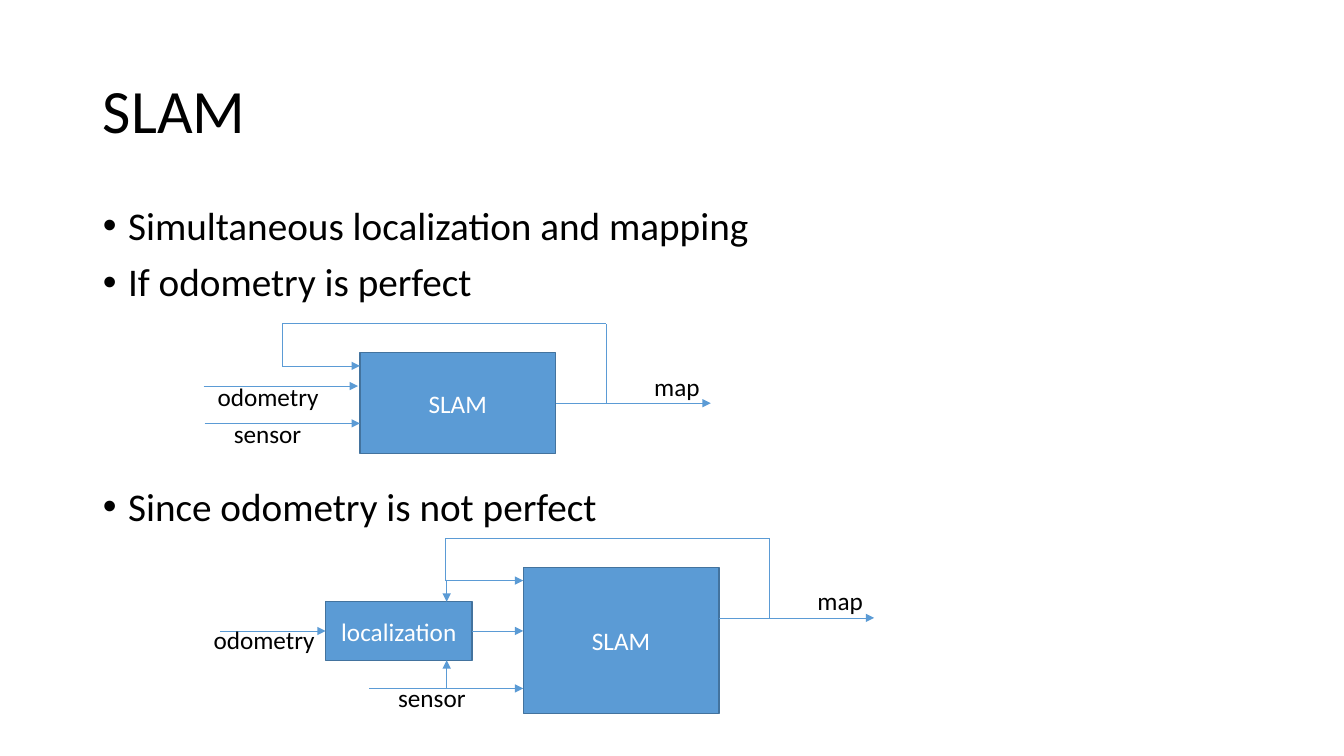
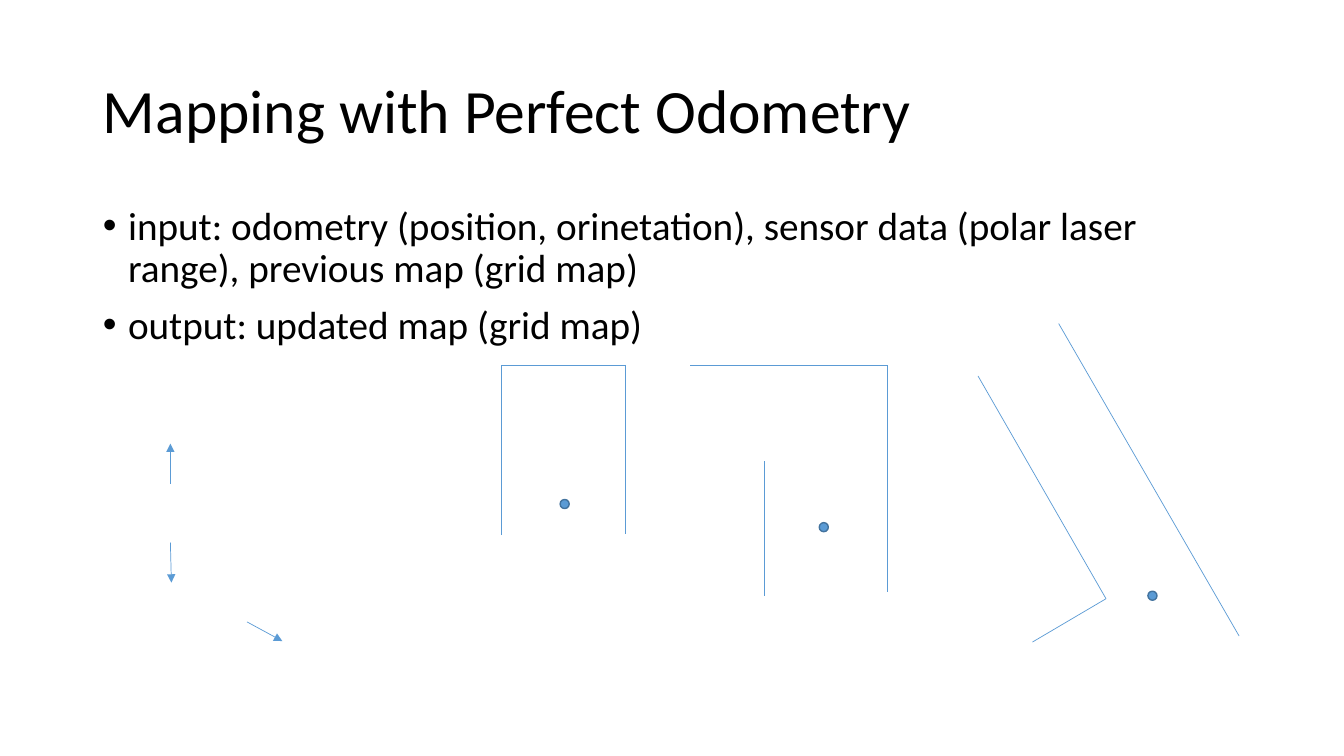
import pptx
import pptx.util
import pptx.dml.color
import pptx.enum.shapes
import pptx.enum.text
import pptx.oxml.ns
import pptx.oxml.xmlchemy
from pptx.util import Inches

# Shared style
FONT = "Calibri"
BLACK = pptx.dml.color.RGBColor(0x00, 0x00, 0x00)
WHITE = pptx.dml.color.RGBColor(0xFF, 0xFF, 0xFF)
BLUE = pptx.dml.color.RGBColor(0x5B, 0x9B, 0xD5)
DARK_BLUE = pptx.dml.color.RGBColor(0x43, 0x73, 0x9E)
TITLE_SIZE, BODY_SIZE, LABEL_SIZE = 44, 28, 18
LINE_SPACING = 0.9
BULLET_GAP = 10
DIAGRAM_GAP = 130

SHAPES = pptx.enum.shapes.MSO_SHAPE
ALIGN = pptx.enum.text.PP_ALIGN
ANCHOR = pptx.enum.text.MSO_ANCHOR
AUTO_SIZE = pptx.enum.text.MSO_AUTO_SIZE


def add_run(paragraph, text, size, color):
    run = paragraph.add_run()
    run.text = text
    run.font.name = FONT
    run.font.size = pptx.util.Pt(size)
    run.font.color.rgb = color


def place(shape, left, top, width, height):
    shape.left, shape.top = Inches(left), Inches(top)
    shape.width, shape.height = Inches(width), Inches(height)


def append_element(parent, tag, **attributes):
    element = pptx.oxml.xmlchemy.OxmlElement(tag)
    for name, value in attributes.items():
        element.set(name, value)
    parent.append(element)


def add_bullet(paragraph):
    properties = paragraph._p.get_or_add_pPr()
    properties.set("marL", str(Inches(0.25)))
    properties.set("indent", str(-Inches(0.25)))
    append_element(properties, "a:buFont", typeface="Arial")
    append_element(properties, "a:buChar", char="•")


def add_content_slide(deck, title, bullets):
    """Each bullet is a pair: its text and the space before it in points."""
    slide = deck.slides.add_slide(deck.slide_layouts[1])
    heading, body = slide.placeholders[0], slide.placeholders[1]
    place(heading, 0.92, 0.4, 11.5, 1.45)
    place(body, 0.92, 2, 11.5, 4.76)
    for holder, anchor in ((heading, ANCHOR.MIDDLE), (body, ANCHOR.TOP)):
        holder.text_frame.auto_size = AUTO_SIZE.NONE
        holder.text_frame.vertical_anchor = anchor

    title_line = heading.text_frame.paragraphs[0]
    title_line.alignment = ALIGN.LEFT
    title_line.line_spacing = LINE_SPACING
    add_run(title_line, title, TITLE_SIZE, BLACK)

    for index, (text, gap) in enumerate(bullets):
        frame = body.text_frame
        paragraph = frame.add_paragraph() if index else frame.paragraphs[0]
        add_bullet(paragraph)
        paragraph.line_spacing = LINE_SPACING
        paragraph.space_before = pptx.util.Pt(gap)
        add_run(paragraph, text, BODY_SIZE, BLACK)
    return slide


def add_filled(slide, kind, left, top, width, height):
    shape = slide.shapes.add_shape(kind, Inches(left), Inches(top),
                                   Inches(width), Inches(height))
    shape.shadow.inherit = False
    shape.fill.solid()
    shape.fill.fore_color.rgb = BLUE
    shape.line.color.rgb = DARK_BLUE
    shape.line.width = pptx.util.Pt(1)
    return shape


def add_block(slide, text, left, top, width, height):
    block = add_filled(slide, SHAPES.RECTANGLE, left, top, width, height)
    block.text_frame.vertical_anchor = ANCHOR.MIDDLE
    paragraph = block.text_frame.paragraphs[0]
    paragraph.alignment = ALIGN.CENTER
    add_run(paragraph, text, LABEL_SIZE, WHITE)
    return block


def add_label(slide, text, left, top, width):
    label = slide.shapes.add_textbox(Inches(left), Inches(top),
                                     Inches(width), Inches(0.4))
    label.text_frame.word_wrap = False
    label.text_frame.auto_size = AUTO_SIZE.SHAPE_TO_FIT_TEXT
    add_run(label.text_frame.paragraphs[0], text, LABEL_SIZE, BLACK)


def add_line(slide, start, end, arrow=False):
    line = slide.shapes.add_connector(
        pptx.enum.shapes.MSO_CONNECTOR.STRAIGHT,
        Inches(start[0]), Inches(start[1]), Inches(end[0]), Inches(end[1]))
    line.line.color.rgb = BLUE
    line.line.width = pptx.util.Pt(0.5)
    properties = line._element.spPr
    if arrow:
        outline = properties.find(pptx.oxml.ns.qn("a:ln"))
        append_element(outline, "a:tailEnd", type="triangle")
    append_element(properties, "a:effectLst")
    return line


def add_path(slide, points, arrow=False):
    last = len(points) - 2
    for index, (start, end) in enumerate(zip(points, points[1:])):
        add_line(slide, start, end, arrow and index == last)


def add_dot(slide, center_x, center_y):
    size = 0.09
    add_filled(slide, SHAPES.OVAL, center_x - size / 2, center_y - size / 2,
               size, size)


def add_map_feedback(slide, slam_left, loop_top):
    """Draw the map output and its loop back into the block."""
    output_y, return_y = loop_top + 0.79, loop_top + 0.42
    loop_left, loop_right = slam_left - 0.77, slam_left + 2.44
    output = add_line(slide, (slam_left + 1.94, output_y),
                      (slam_left + 3.48, output_y), arrow=True)
    add_label(slide, "map", slam_left + 2.82, loop_top + 0.42, 0.66)
    add_path(slide, [(loop_right, output_y), (loop_right, loop_top),
                     (loop_left, loop_top), (loop_left, return_y),
                     (slam_left, return_y)], arrow=True)
    return output


def draw_perfect_odometry(slide):
    slam = add_block(slide, "SLAM", 3.57, 3.5, 1.94, 1)
    add_map_feedback(slide, 3.57, 3.21).begin_connect(slam, 3)
    add_line(slide, (2.02, 3.83), (3.55, 3.83), arrow=True)
    add_label(slide, "odometry", 2.06, 3.73, 1.22)
    add_line(slide, (2.03, 4.2), (3.57, 4.2), arrow=True)
    add_label(slide, "sensor", 2.22, 4.1, 0.88)


def draw_imperfect_odometry(slide):
    add_block(slide, "SLAM", 5.19, 5.63, 1.94, 1.45)
    add_map_feedback(slide, 5.19, 5.34)
    localization = add_block(slide, "localization", 3.23, 5.97, 1.45, 0.58)
    # Inputs and output of the localization block
    odometry = add_line(slide, (2.18, 6.26), (3.23, 6.26), arrow=True)
    odometry.end_connect(localization, 1)
    add_label(slide, "odometry", 2.02, 6.14, 1.22)
    add_line(slide, (3.66, 6.83), (5.19, 6.83), arrow=True)
    add_label(slide, "sensor", 3.85, 6.72, 0.88)
    add_line(slide, (4.43, 5.75), (4.43, 5.97), arrow=True)
    add_line(slide, (4.43, 6.83), (4.43, 6.55), arrow=True)
    pose = add_line(slide, (4.68, 6.26), (5.19, 6.26), arrow=True)
    pose.begin_connect(localization, 3)


def draw_robot_views(slide):
    # Headings of the robot
    for start, end in (((1.69, 4.8), (1.69, 4.4)),
                       ((1.69, 5.38), (1.7, 5.78)),
                       ((2.45, 6.17), (2.8, 6.36))):
        add_line(slide, start, end, arrow=True)
    # Walls seen from each position
    for wall in ([(4.97, 5.31), (4.97, 3.62), (6.2, 3.62), (6.2, 5.3)],
                 [(8.8, 5.87), (8.8, 3.62), (6.84, 3.62)],
                 [(7.58, 5.91), (7.58, 4.57)],
                 [(12.29, 6.31), (10.5, 3.21)],
                 [(9.7, 3.73), (10.97, 5.94), (10.24, 6.37)]):
        add_path(slide, wall)
    # Robot positions
    for center in ((5.6, 5.0), (8.17, 5.23), (11.43, 5.91)):
        add_dot(slide, *center)


def main():
    deck = pptx.Presentation()
    deck.slide_width, deck.slide_height = Inches(13.33), Inches(7.5)

    slam_slide = add_content_slide(deck, "SLAM", [
        ("Simultaneous localization and mapping", 0),
        ("If odometry is perfect", BULLET_GAP),
        ("Since odometry is not perfect", DIAGRAM_GAP)])
    draw_perfect_odometry(slam_slide)
    draw_imperfect_odometry(slam_slide)

    mapping_slide = add_content_slide(deck, "Mapping with Perfect Odometry", [
        ("input: odometry (position, orinetation), sensor data (polar laser "
         "range), previous map (grid map)", 0),
        ("output: updated map (grid map)", BULLET_GAP)])
    draw_robot_views(mapping_slide)

    deck.save("out.pptx")


if __name__ == "__main__":
    main()
